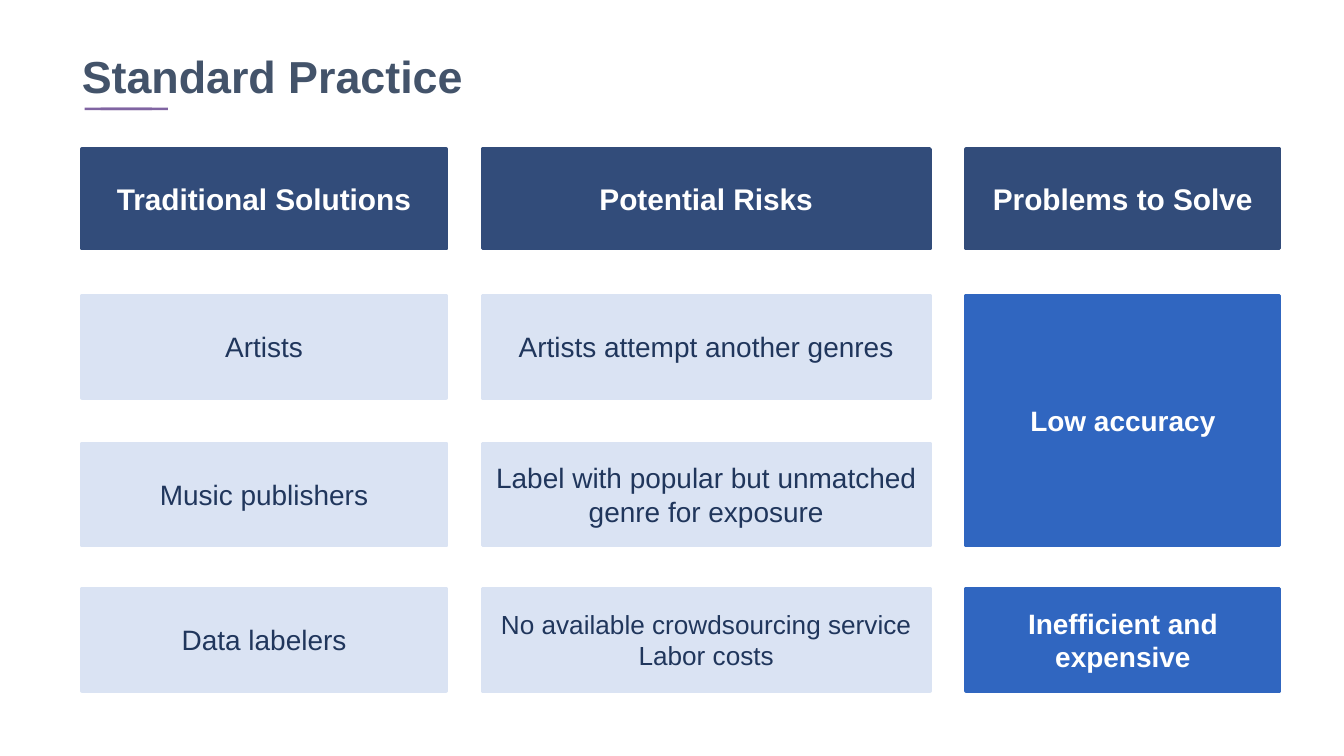
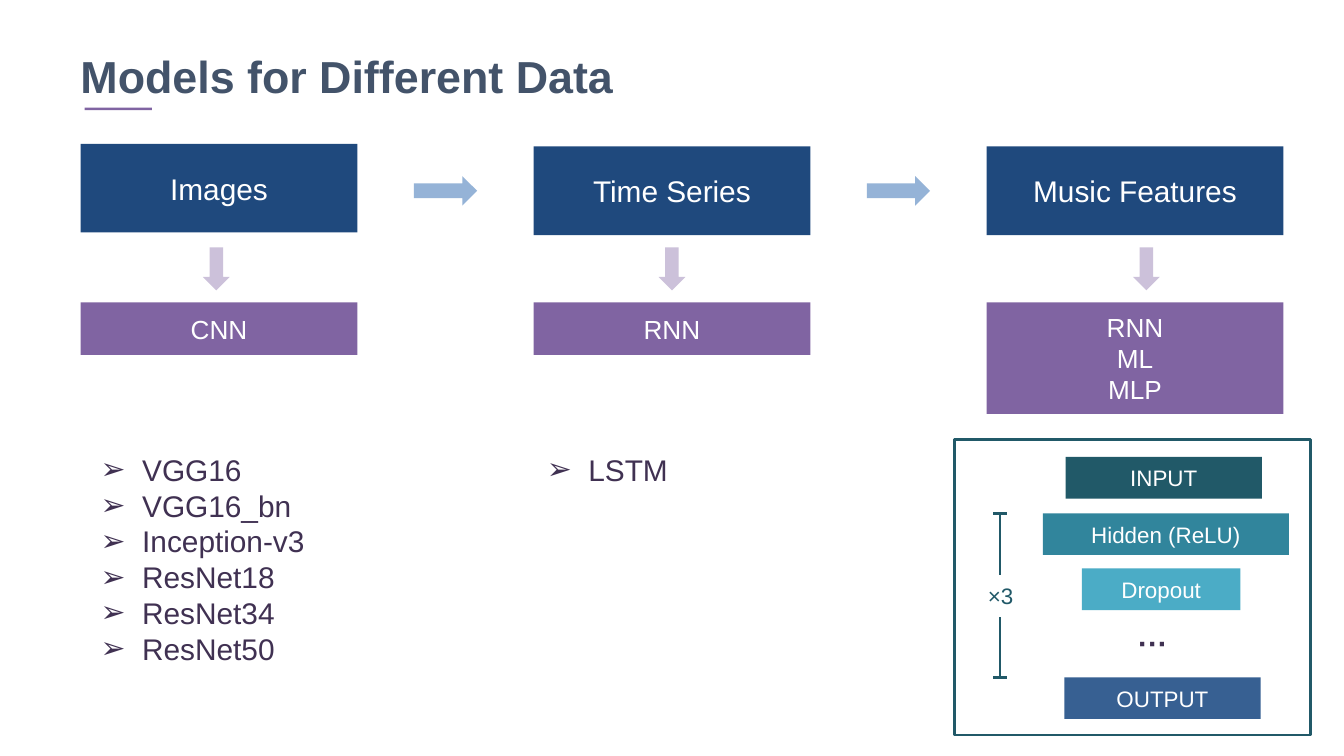
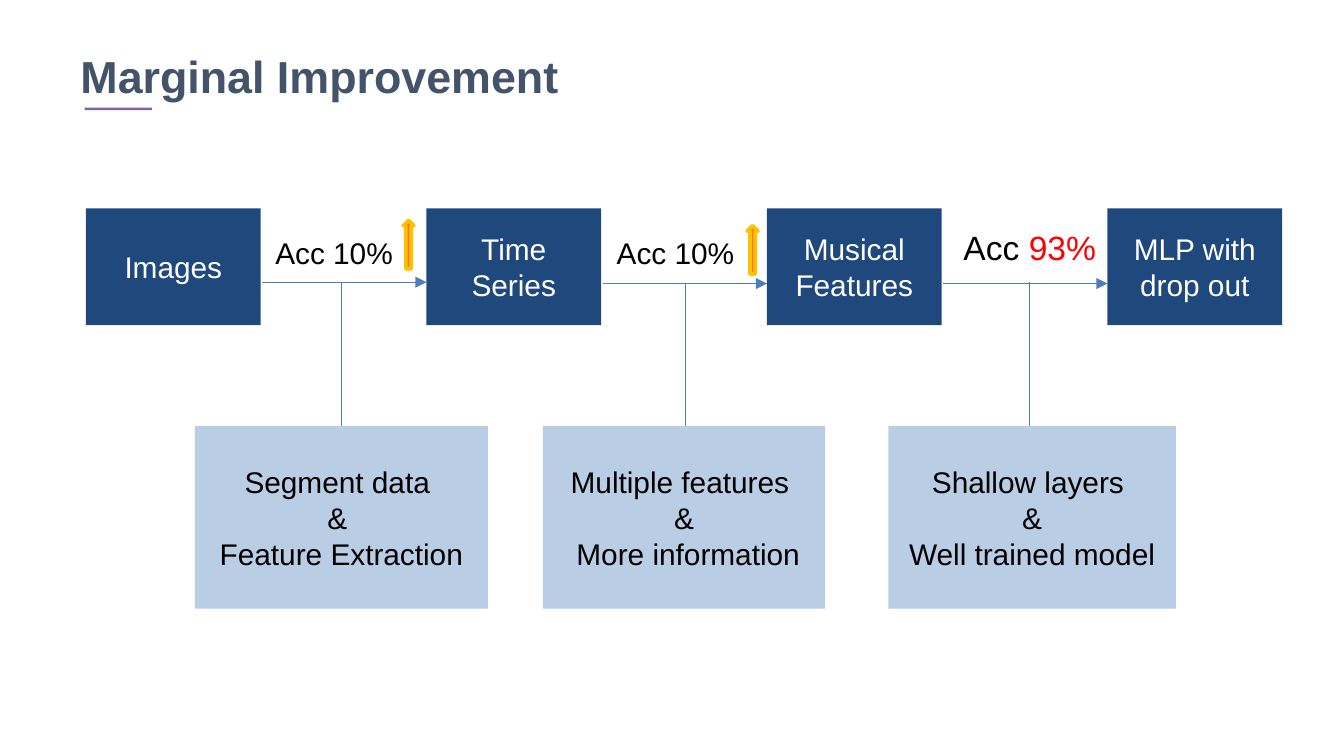
from dataclasses import dataclass

from lxml import etree
from pptx import Presentation
from pptx.dml.color import RGBColor
from pptx.enum.shapes import MSO_CONNECTOR, MSO_SHAPE
from pptx.enum.text import MSO_ANCHOR, MSO_AUTO_SIZE, PP_ALIGN
from pptx.oxml.ns import qn
from pptx.util import Inches, Pt

RECTANGLE = MSO_SHAPE.RECTANGLE
ROUNDED = MSO_SHAPE.ROUNDED_RECTANGLE
DOWN_ARROW = MSO_SHAPE.DOWN_ARROW
RIGHT_ARROW = MSO_SHAPE.RIGHT_ARROW
UP_ARROW = MSO_SHAPE.UP_ARROW
STRAIGHT = MSO_CONNECTOR.STRAIGHT
MIDDLE, TOP = MSO_ANCHOR.MIDDLE, MSO_ANCHOR.TOP
CENTER, LEFT = PP_ALIGN.CENTER, PP_ALIGN.LEFT
GROW = MSO_AUTO_SIZE.SHAPE_TO_FIT_TEXT

FONT = "Arial"
WHITE, BLACK, RED = "FFFFFF", "000000", "FF0000"
TITLE_GREY = "43536A"
PURPLE, LILAC, DARK_PURPLE = "8064A2", "CCC1DA", "403152"
NAVY, SLATE, INK = "1F497D", "324C7A", "20365C"
BLUE, LINE_BLUE, ARROW_BLUE = "3066C0", "4B7EBC", "95B3D7"
PALE, LIGHT_BLUE = "DAE3F3", "B9CDE5"
DARK_TEAL = "215968"
ORANGE, AMBER = "ED7D31", "FFC000"


@dataclass
class Card:
    row: int
    text: str
    size: int = 15
    rows: int = 1


@dataclass
class Column:
    left: float
    width: float
    heading: str
    cards: list[Card]
    fill: str = PALE
    color: str = INK
    bold: bool = False


@dataclass
class Track:
    left: float
    width: float
    top: float
    data: str
    models: str
    models_height: float
    arrow_left: float


@dataclass
class Layer:
    left: float
    top: float
    width: float
    text: str
    fill: str


@dataclass
class Step:
    left: float
    width: float
    text: str
    drop_top: float


@dataclass
class Gain:
    left: float
    top: float
    arrow_left: float
    arrow_top: float


def rgb(color: str) -> RGBColor:
    return RGBColor.from_string(color)


def add_span(para, text: str, *, size: int, color: str, bold: bool = False) -> None:
    span = para.add_run()
    span.text = text
    span.font.name = FONT
    span.font.size = Pt(size)
    span.font.bold = bold
    span.font.color.rgb = rgb(color)


def add_bullet(para) -> None:
    properties = para._p.get_or_add_pPr()
    properties.set("marL", str(Inches(0.31)))
    properties.set("indent", str(Inches(-0.31)))
    etree.SubElement(properties, qn("a:buFont")).set("typeface", FONT)
    etree.SubElement(properties, qn("a:buChar")).set("char", "➢")


def write_text(shape, text: str, *, size: int, color: str = WHITE,
               bold: bool = False, align=CENTER, anchor=MIDDLE,
               side: float = 0.1, bullet: bool = False) -> None:
    frame = shape.text_frame
    frame.word_wrap = True
    frame.vertical_anchor = anchor
    frame.margin_left = frame.margin_right = Inches(side)
    for index, words in enumerate(text.split("\n")):
        para = frame.add_paragraph() if index else frame.paragraphs[0]
        para.alignment = align
        if bullet:
            add_bullet(para)
        add_span(para, words, size=size, color=color, bold=bold)


def add_box(page, kind, left: float, top: float, width: float, height: float,
            fill: str | None = None, line: str | None = None,
            line_width: float = 2):
    box = page.shapes.add_shape(
        kind, Inches(left), Inches(top), Inches(width), Inches(height))
    box.shadow.inherit = False
    if kind == ROUNDED:
        box.adjustments[0] = 0
    if fill:
        box.fill.solid()
        box.fill.fore_color.rgb = rgb(fill)
    else:
        box.fill.background()
    if line:
        box.line.color.rgb = rgb(line)
        box.line.width = Pt(line_width)
    else:
        box.line.fill.background()
    return box


def add_text(page, left: float, top: float, width: float, height: float,
             text: str, grow: bool = False, **style):
    box = page.shapes.add_textbox(
        Inches(left), Inches(top), Inches(width), Inches(height))
    write_text(box, text, **style)
    if grow:
        box.text_frame.auto_size = GROW
    return box


def add_line(page, x1: float, y1: float, x2: float, y2: float,
             color: str = LINE_BLUE, width: float = 0.75,
             arrow: bool = False) -> None:
    line = page.shapes.add_connector(
        STRAIGHT, Inches(x1), Inches(y1), Inches(x2), Inches(y2))
    line.line.color.rgb = rgb(color)
    line.line.width = Pt(width)
    if arrow:
        outline = line.line._get_or_add_ln()
        etree.SubElement(outline, qn("a:tailEnd")).set("type", "triangle")
    etree.SubElement(line._element.spPr, qn("a:effectLst"))


def add_underline(page, left: float) -> None:
    add_box(page, RECTANGLE, left, 0.8, 0.5, 0.02, PURPLE)


def add_page(deck, title: str, title_left: float = 0.5):
    page = deck.slides.add_slide(deck.slide_layouts[6])
    add_underline(page, 0.63)
    add_text(page, title_left, 0.23, 8.88, 0.66, title, size=24,
             color=TITLE_GREY, bold=True, align=LEFT)
    return page


def build_practice(deck) -> None:
    page = add_page(deck, "Standard Practice", 0.51)
    add_underline(page, 0.75)
    row_tops = [2.2, 3.3, 4.38]
    card_height = 0.76
    columns = [
        Column(0.61, 2.71, "Traditional Solutions", [
            Card(0, "Artists"), Card(1, "Music publishers"),
            Card(2, "Data labelers")]),
        Column(3.59, 3.33, "Potential Risks", [
            Card(0, "Artists attempt another genres"),
            Card(1, "Label with popular but unmatched genre for exposure"),
            Card(2, "No available crowdsourcing service\nLabor costs", 14)]),
        Column(7.19, 2.33, "Problems to Solve", [
            Card(0, "Low accuracy", rows=2),
            Card(2, "Inefficient and expensive")], BLUE, WHITE, True),
    ]
    for column in columns:
        heading = add_box(page, ROUNDED, column.left, 1.11, column.width, 0.74,
                          SLATE, SLATE)
        write_text(heading, column.heading, size=16, bold=True, side=0.05)
        for card in column.cards:
            top = row_tops[card.row]
            bottom = row_tops[card.row + card.rows - 1] + card_height
            box = add_box(page, ROUNDED, column.left, top, column.width,
                          bottom - top, column.fill, column.fill)
            write_text(box, card.text, size=card.size, color=column.color,
                       bold=column.bold, side=0.05)


def build_network(page) -> None:
    layers = [
        Layer(7.93, 3.4, 1.46, "INPUT", DARK_TEAL),
        Layer(7.76, 3.82, 1.83, "Hidden (ReLU)", "31859C"),
        Layer(8.05, 4.23, 1.18, "Dropout", "4BACC6"),
        Layer(7.92, 5.04, 1.46, "OUTPUT", "376092"),
    ]
    for layer in layers:
        box = add_box(page, RECTANGLE, layer.left, layer.top, layer.width, 0.31,
                      layer.fill)
        write_text(box, layer.text, size=12)
    add_text(page, 7.93, 4.63, 1.3, 0.31, "···", size=16, color=DARK_PURPLE,
             bold=True)

    # Bracket with the repeat count
    middle, top, bottom = 7.44, 3.82, 5.04
    add_line(page, middle, top, middle, bottom, DARK_TEAL, 1.5)
    for end in (top, bottom):
        add_line(page, middle - 0.05, end, middle + 0.05, end, DARK_TEAL, 1.5)
    count = add_box(page, RECTANGLE, 7.21, 4.28, 0.47, 0.31, WHITE)
    write_text(count, "×3", size=12, color=DARK_TEAL)
    add_box(page, RECTANGLE, 7.1, 3.27, 2.65, 2.2, line=DARK_TEAL,
            line_width=1.5)


def build_models(deck) -> None:
    page = add_page(deck, "Models for Different Data")
    tracks = [
        Track(0.6, 2.06, 1.07, "Images", "CNN", 0.39, 1.51),
        Track(3.97, 2.06, 1.09, "Time Series", "RNN", 0.39, 4.9),
        Track(7.34, 2.21, 1.09, "Music Features", "RNN\nML\nMLP", 0.83, 8.43),
    ]
    for track in tracks:
        data = add_box(page, RECTANGLE, track.left, track.top, track.width, 0.66,
                       NAVY)
        write_text(data, track.data, size=16)
        add_box(page, DOWN_ARROW, track.arrow_left, 1.84, 0.2, 0.32, LILAC)
        models = add_box(page, RECTANGLE, track.left, 2.25, track.width,
                         track.models_height, PURPLE)
        write_text(models, track.models, size=14)
    for track in tracks[:-1]:
        add_box(page, RIGHT_ARROW, track.left + 2.48, 1.31, 0.47, 0.22,
                ARROW_BLUE)

    # Model lists
    image_models = "VGG16\nVGG16_bn\nInception-v3\nResNet18\nResNet34\nResNet50"
    for left, width, height, names in ((0.65, 2.02, 1.72, image_models),
                                       (3.97, 2.06, 0.37, "LSTM")):
        add_text(page, left, 3.31, width, height, names, grow=True, size=16,
                 color=DARK_PURPLE, align=LEFT, anchor=TOP, bullet=True)
    build_network(page)


def build_improvement(deck) -> None:
    page = add_page(deck, "Marginal Improvement")
    stages = ["Images", "Time Series", "Musical Features", "MLP with drop out"]
    stage_width = 1.3
    stage_lefts = [0.64 + index * 7.6 / 3 for index in range(len(stages))]
    steps = [
        Step(1.45, 2.18, "Segment data \n& \nFeature Extraction", 2.1),
        Step(4.04, 2.1, "Multiple features \n&\n More information", 2.11),
        Step(6.61, 2.14, "Shallow layers \n&\nWell trained model", 2.1),
    ]

    # Drop lines lie behind the boxes
    for index, step in enumerate(steps):
        drop = 2.54 + 2.56 * index
        add_line(page, drop, step.drop_top, drop, 3.19)
    for left, stage in zip(stage_lefts, stages):
        box = add_box(page, RECTANGLE, left, 1.55, stage_width, 0.87, NAVY)
        write_text(box, stage, size=16)
    for step in steps:
        box = add_box(page, ROUNDED, step.left, 3.17, step.width, 1.36,
                      LIGHT_BLUE)
        write_text(box, step.text, size=16, color=BLACK)

    # Accuracy gains
    note = {"grow": True, "color": BLACK, "align": LEFT, "anchor": TOP}
    for gain in (Gain(1.95, 1.7, 3, 1.64), Gain(4.49, 1.7, 5.56, 1.68)):
        add_text(page, gain.left, gain.top, 1.19, 0.37, "Acc 10%", size=16,
                 **note)
        add_box(page, UP_ARROW, gain.arrow_left, gain.arrow_top, 0.08, 0.36,
                ORANGE, AMBER)
    final = add_text(page, 7.07, 1.64, 1.22, 0.4, "Acc ", size=18, **note)
    add_span(final.text_frame.paragraphs[0], "93%", size=18, color=RED)

    # Arrows between stages
    for left, following, height in zip(stage_lefts, stage_lefts[1:],
                                       (2.1, 2.11, 2.11)):
        add_line(page, left + stage_width + 0.01, height, following, height,
                 arrow=True)


def main() -> None:
    deck = Presentation()
    deck.slide_width = Inches(10)
    deck.slide_height = Inches(10 * 9 / 16)
    build_practice(deck)
    build_models(deck)
    build_improvement(deck)
    deck.save("out.pptx")


if __name__ == "__main__":
    main()
